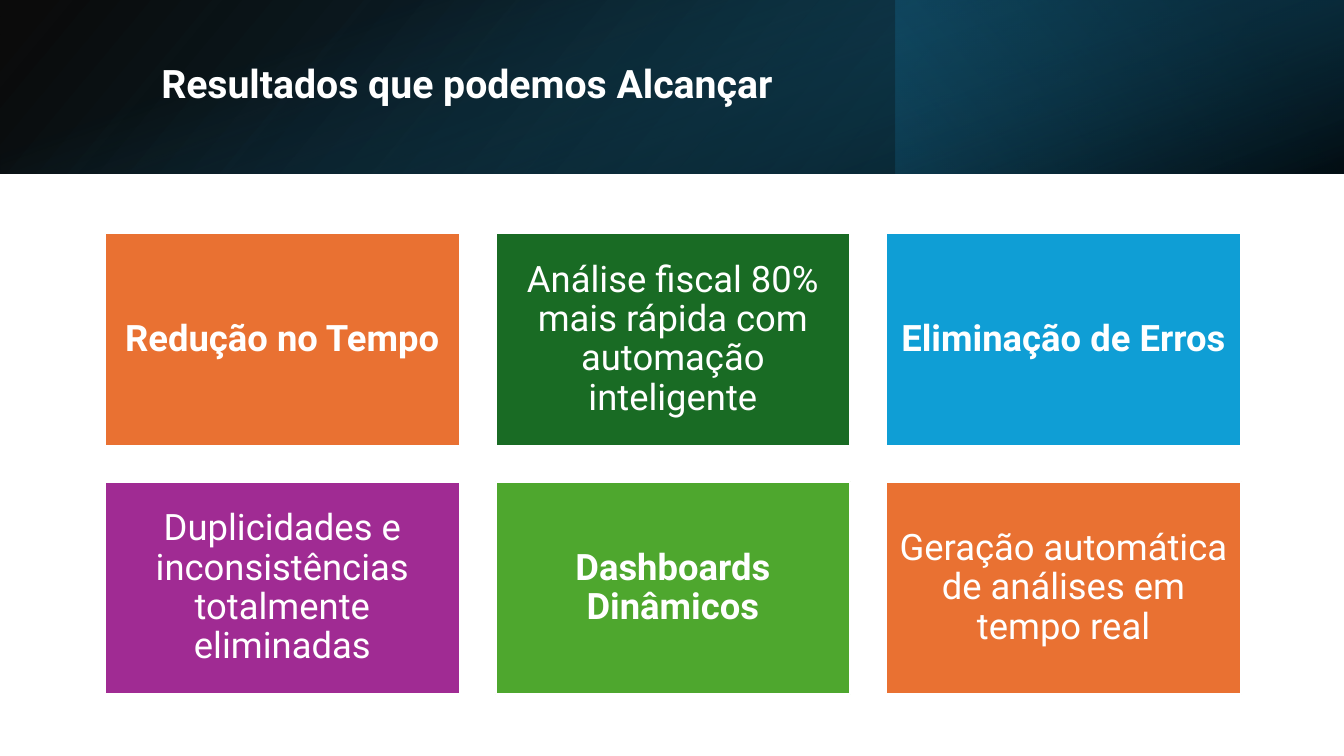
"""Build the slide of results: a dark gradient header above a grid of six cards."""
import dataclasses

import lxml.etree
import pptx
import pptx.dml.color
import pptx.enum.shapes
import pptx.enum.text
import pptx.oxml.ns
import pptx.util

COLUMNS, ROWS = 160, 90
UNIT = pptx.util.Inches(1) / 12
HEADER_HEIGHT = 20.65
CARD_LEFT, CARD_TOP = 12.5, 27.75
CARD_WIDTH, CARD_HEIGHT = 42.25, 25.3
COLUMN_PITCH, ROW_PITCH = 46.5, 29.6
CARDS_PER_ROW = 3
FONT, WHITE = "Roboto", "FFFFFF"


@dataclasses.dataclass(frozen=True)
class Stop:
    """One gradient stop, with position and opacity in percent."""
    position: int
    color: str
    opacity: int = 100


@dataclasses.dataclass(frozen=True)
class Band:
    """One gradient layer of the header, in grid columns and rows."""
    left: float
    top: float
    width: float
    height: float
    stops: tuple[Stop, Stop]
    angle: int
    rotation: int = 0
    flipped: bool = False


@dataclasses.dataclass(frozen=True)
class Card:
    """One coloured card of the results grid."""
    text: str
    color: str
    bold: bool = False


BANDS = (
    Band(0, 0, COLUMNS, HEADER_HEIGHT,
         (Stop(0, "000000", 96), Stop(100, "104862")), 140, flipped=True),
    Band(COLUMNS * 2 / 3, 0, COLUMNS / 3, HEADER_HEIGHT,
         (Stop(19, "0B3041", 68), Stop(100, "156082", 79)), 320, rotation=180),
    Band((COLUMNS - HEADER_HEIGHT) / 2, (HEADER_HEIGHT - COLUMNS) / 2, HEADER_HEIGHT, COLUMNS,
         (Stop(23, "156082", 0), Stop(99, "000000", 74)), 340, rotation=90),
)
CARDS = (
    Card("Redução no Tempo", "E97132", bold=True),
    Card("Análise fiscal 80% mais rápida com automação inteligente", "196B24"),
    Card("Eliminação de Erros", "0F9ED5", bold=True),
    Card("Duplicidades e inconsistências totalmente eliminadas", "A02B93"),
    Card("Dashboards Dinâmicos", "4EA72E", bold=True),
    Card("Geração automática de análises em tempo real", "E97132"),
)


def grid(count: float) -> pptx.util.Emu:
    """Turn a count of grid columns or rows into a length."""
    return pptx.util.Emu(round(count * UNIT))


def rgb(color: str) -> pptx.dml.color.RGBColor:
    """Turn a hex string into a colour."""
    return pptx.dml.color.RGBColor.from_string(color)


def add_rectangle(page, left: float, top: float, width: float, height: float):
    """Add a shadowless rectangle placed on the grid."""
    box = page.shapes.add_shape(
        pptx.enum.shapes.MSO_SHAPE.RECTANGLE,
        grid(left), grid(top), grid(width), grid(height))
    box.shadow.inherit = False
    return box


def write(box, text: str, *, size: float, bold: bool, align, inset: float) -> None:
    """Write one formatted paragraph, centred vertically in its box."""
    frame = box.text_frame
    frame.word_wrap = True
    frame.auto_size = pptx.enum.text.MSO_AUTO_SIZE.NONE
    frame.vertical_anchor = pptx.enum.text.MSO_ANCHOR.MIDDLE
    frame.margin_left = frame.margin_right = pptx.util.Inches(inset)
    frame.margin_top = frame.margin_bottom = pptx.util.Inches(inset)
    para = frame.paragraphs[0]
    para.alignment = align
    para.line_spacing = 0.9
    span = para.add_run()
    span.text = text
    span.font.name = FONT
    span.font.size = pptx.util.Pt(size)
    span.font.bold = bold
    span.font.color.rgb = rgb(WHITE)


def draw_band(page, band: Band) -> None:
    """Draw one gradient layer of the header."""
    box = add_rectangle(page, band.left, band.top, band.width, band.height)
    box.rotation = band.rotation
    if band.flipped:
        box._element.spPr.xfrm.set("flipH", "1")
    box.line.fill.background()
    box.fill.gradient()
    box.fill.gradient_angle = 360 - band.angle
    for target, stop in zip(box.fill.gradient_stops, band.stops):
        target.position = stop.position / 100
        target.color.rgb = rgb(stop.color)
    tints = list(box._element.spPr.iter(pptx.oxml.ns.qn("a:srgbClr")))
    for tint, stop in zip(tints, band.stops):
        lxml.etree.SubElement(tint, pptx.oxml.ns.qn("a:alpha"), val=str(stop.opacity * 1000))


def draw_title(page, text: str) -> None:
    """Place the title above the header layers."""
    title = page.shapes.title
    page.shapes._spTree.append(title._element)
    title.left, title.top = grid(18), grid(4.5)
    title.width, title.height = grid(131.75), grid(11.5)
    write(title, text, size=28, bold=True, align=pptx.enum.text.PP_ALIGN.LEFT, inset=0.1)


def draw_card(page, index: int, card: Card) -> None:
    """Draw one card at its place in the grid."""
    row, column = divmod(index, CARDS_PER_ROW)
    box = add_rectangle(page, CARD_LEFT + column * COLUMN_PITCH,
                        CARD_TOP + row * ROW_PITCH, CARD_WIDTH, CARD_HEIGHT)
    box.fill.solid()
    box.fill.fore_color.rgb = rgb(card.color)
    box.line.color.rgb = rgb(WHITE)
    box.line.width = pptx.util.Pt(1.5)
    write(box, card.text, size=26, bold=card.bold,
          align=pptx.enum.text.PP_ALIGN.CENTER, inset=0.11)


def main() -> None:
    """Build and save the deck."""
    deck = pptx.Presentation()
    deck.slide_width, deck.slide_height = grid(COLUMNS), grid(ROWS)
    page = deck.slides.add_slide(deck.slide_layouts.get_by_name("Title Only"))
    for band in BANDS:
        draw_band(page, band)
    draw_title(page, "Resultados que podemos Alcançar")
    for index, card in enumerate(CARDS):
        draw_card(page, index, card)
    deck.save("out.pptx")


if __name__ == "__main__":
    main()
